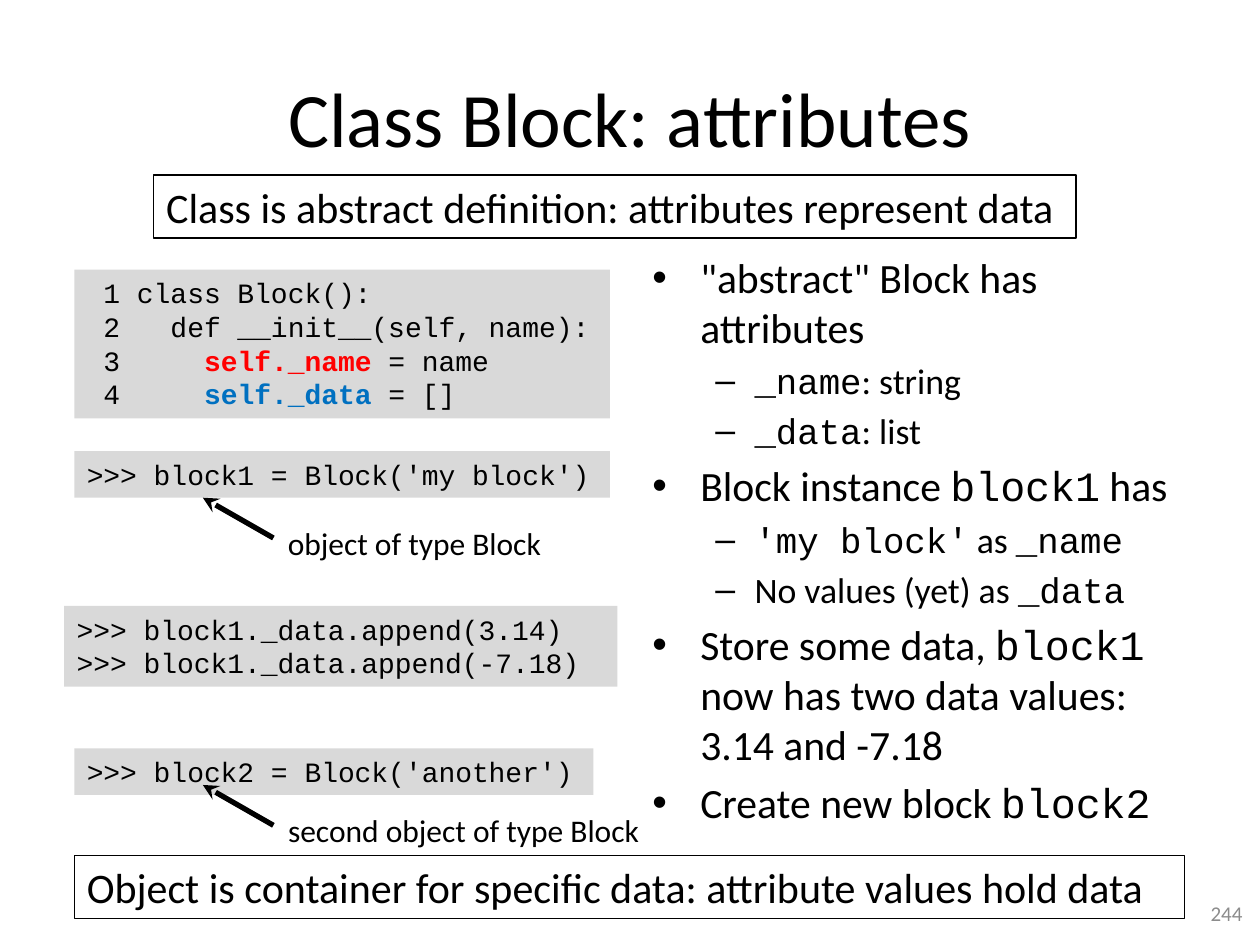
from typing import NamedTuple, Optional

from lxml.etree import SubElement
from pptx import Presentation
from pptx.dml.color import RGBColor
from pptx.enum.shapes import MSO_CONNECTOR as Connector, MSO_SHAPE as Shape
from pptx.enum.text import MSO_ANCHOR as Anchor, PP_ALIGN as Align
from pptx.oxml.ns import qn
from pptx.util import Inches, Pt

COLORS = {
    "text": "000000", "code": "D9D9D9", "name": "FF0000",
    "data": "0070C0", "number": "8C8C8C",
}
SANS, MONO = "Calibri", "Courier New"


class Span(NamedTuple):
    text: str
    font: Optional[str] = None
    color: Optional[str] = None


class Panel(NamedTuple):
    left: float
    top: float
    width: float
    height: float
    lines: list


class Bullet(NamedTuple):
    level: int
    spans: list


class Level(NamedTuple):
    mark: str
    margin: float
    hanging: float
    size: float


class Callout(NamedTuple):
    top: float
    width: float
    text: str


LEVELS = [Level("•", 0.38, 0.38, 23.8), Level("–", 0.81, 0.31, 20.4)]

CODE_PANELS = [
    Panel(0.59, 2.14, 4.25, 1.18, [
        [Span(" 1 class Block():")],
        [Span(" 2   def __init__(self, name):")],
        [Span(" 3     "), Span("self._name", color="name"), Span(" = name")],
        [Span(" 4     "), Span("self._data", color="data"), Span(" = []")],
    ]),
    Panel(0.59, 3.58, 4.25, 0.37, [[Span(">>> block1 = Block('my block')")]]),
    Panel(0.51, 4.81, 4.39, 0.64, [
        [Span(">>> block1._data.append(3.14)")],
        [Span(">>> block1._data.append(-7.18)")],
    ]),
    Panel(0.59, 5.94, 4.12, 0.37, [[Span(">>> block2 = Block('another')")]]),
]

STATEMENTS = [
    Panel(1.22, 1.39, 7.32, 0.5,
          [[Span("Class is abstract definition: attributes represent data")]]),
    Panel(0.59, 6.79, 8.81, 0.5,
          [[Span("Object is container for specific data: attribute values hold data")]]),
]

CALLOUTS = [
    Callout(3.95, 2.24, "object of type Block"),
    Callout(6.23, 3.02, "second object of type Block"),
]

BULLETS = [
    Bullet(0, [Span('"abstract" Block has attributes', SANS)]),
    Bullet(1, [Span("_name", MONO), Span(": string", SANS)]),
    Bullet(1, [Span("_data", MONO), Span(": list", SANS)]),
    Bullet(0, [Span("Block instance ", SANS), Span("block1", MONO), Span(" has", SANS)]),
    Bullet(1, [Span("'my block'", MONO), Span(" as ", SANS), Span("_name", MONO)]),
    Bullet(1, [Span("No values (yet) as ", SANS), Span("_data", MONO)]),
    Bullet(0, [Span("Store some data, ", SANS), Span("block1", MONO),
               Span(" now has two data values: 3.14 and -7.18", SANS)]),
    Bullet(0, [Span("Create new block ", SANS), Span("block2", MONO)]),
]


def rgb(name: str) -> RGBColor:
    return RGBColor.from_string(COLORS[name])


def style(para, font: str, size: float, color: str = "text") -> None:
    para.font.name = font
    para.font.size = Pt(size)
    para.font.color.rgb = rgb(color)


def add_spans(para, spans: list) -> None:
    for span in spans:
        run = para.add_run()
        run.text = span.text
        if span.font:
            run.font.name = span.font
        if span.color:
            run.font.bold = True
            run.font.color.rgb = rgb(span.color)


def next_para(frame, index: int):
    return frame.add_paragraph() if index else frame.paragraphs[0]


def add_panel(page, panel: Panel, font: str, size: float, fill: Optional[str] = None) -> None:
    box = page.shapes.add_shape(Shape.RECTANGLE, *map(Inches, panel[:4]))
    box.shadow.inherit = False
    if fill:
        box.fill.solid()
        box.fill.fore_color.rgb = rgb(fill)
        box.line.fill.background()
    else:
        box.fill.background()
        box.line.color.rgb = rgb("text")
        box.line.width = Pt(0.75)
    frame = box.text_frame
    frame.word_wrap = True
    frame.vertical_anchor = Anchor.TOP
    for index, spans in enumerate(panel.lines):
        para = next_para(frame, index)
        para.alignment = Align.LEFT
        style(para, font, size)
        add_spans(para, spans)


def add_label(page, left: float, top: float, width: float, text: str,
              align: Align, size: float, color: str = "text"):
    box = page.shapes.add_textbox(*map(Inches, (left, top, width, 0.4)))
    frame = box.text_frame
    frame.word_wrap = True
    para = frame.paragraphs[0]
    para.text = text
    para.alignment = align
    style(para, SANS, size, color)
    return frame


def add_callout(page, callout: Callout) -> None:
    ends = (2.17, callout.top + 0.32, 1.61, callout.top)
    arrow = page.shapes.add_connector(Connector.STRAIGHT, *map(Inches, ends))
    arrow.line.color.rgb = rgb("text")
    arrow.line.width = Pt(3)
    SubElement(arrow.line._get_or_add_ln(), qn("a:tailEnd"), type="stealth")
    SubElement(arrow._element.spPr, qn("a:effectLst"))
    add_label(page, 2.17, callout.top + 0.16, callout.width, callout.text, Align.CENTER, 18)


def add_bullets(page, bullets: list) -> None:
    box = page.shapes.add_textbox(*map(Inches, (5.08, 1.95, 4.42, 4.95)))
    frame = box.text_frame
    frame.word_wrap = True
    for index, bullet in enumerate(bullets):
        level = LEVELS[bullet.level]
        para = next_para(frame, index)
        para.level = bullet.level
        properties = para._p.get_or_add_pPr()
        properties.set("marL", str(Inches(level.margin)))
        properties.set("indent", str(-Inches(level.hanging)))
        SubElement(properties, qn("a:buFont"), typeface="Arial")
        SubElement(properties, qn("a:buChar"), char=level.mark)
        if index:
            para.space_before = Pt(round(level.size * 0.2, 1))
        style(para, SANS, level.size)
        add_spans(para, bullet.spans)


def main() -> None:
    deck = Presentation()
    deck.slide_width, deck.slide_height = Inches(10), Inches(7.5)
    page = deck.slides.add_slide(deck.slide_layouts[5])

    title = page.shapes.title
    title.left, title.top, title.width, title.height = map(Inches, (0.5, 0.3, 9, 1.25))
    title.text_frame.vertical_anchor = Anchor.MIDDLE
    heading = title.text_frame.paragraphs[0]
    heading.text = "Class Block: attributes"
    heading.alignment = Align.CENTER
    style(heading, SANS, 44)

    add_bullets(page, BULLETS)
    for panel in CODE_PANELS:
        add_panel(page, panel, MONO, 16, "code")
    for panel in STATEMENTS:
        add_panel(page, panel, SANS, 24)
    for callout in CALLOUTS:
        add_callout(page, callout)
    number = add_label(page, 7.63, 7.05, 2.33, "244", Align.RIGHT, 12, "number")
    number.vertical_anchor = Anchor.MIDDLE
    deck.save("out.pptx")


if __name__ == "__main__":
    main()
